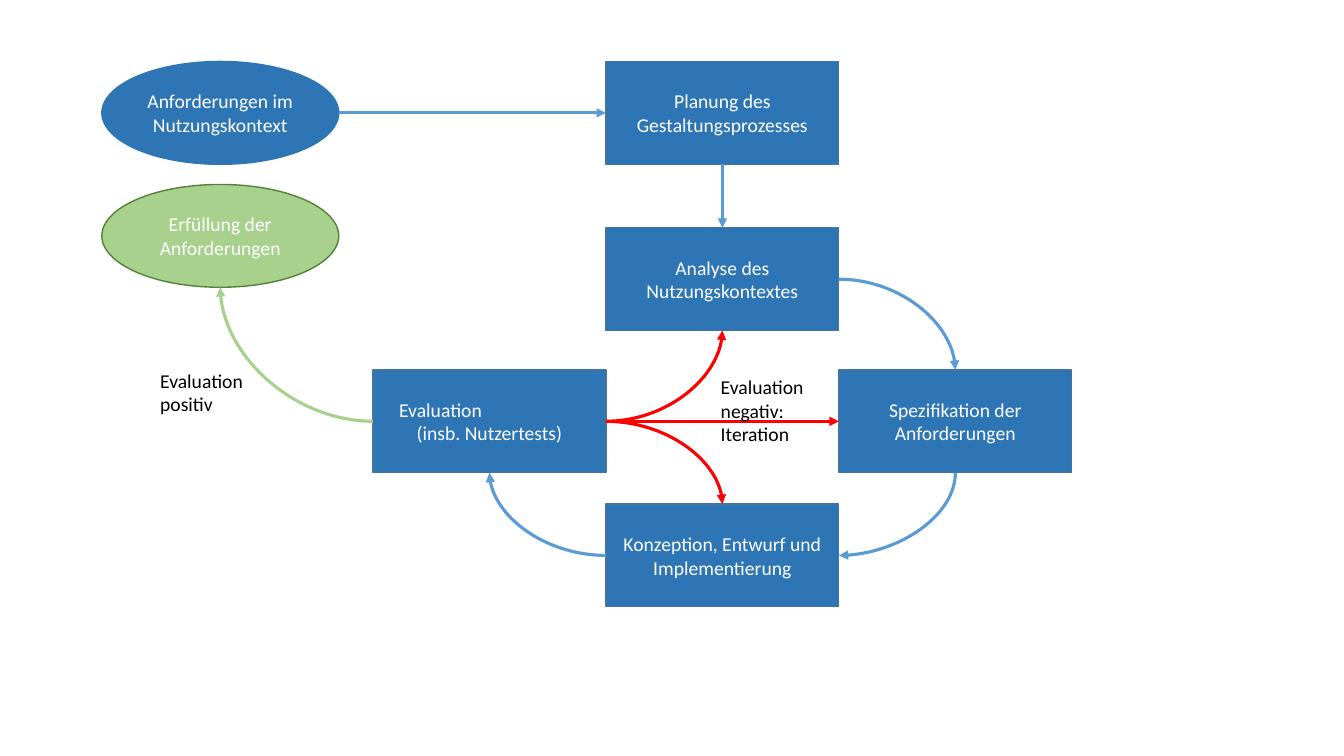
from lxml import etree
from pptx import Presentation
from pptx.dml.color import RGBColor
from pptx.enum.shapes import MSO_CONNECTOR, MSO_SHAPE
from pptx.enum.text import MSO_ANCHOR, PP_ALIGN
from pptx.oxml.ns import qn
from pptx.util import Inches, Pt

RECTANGLE, ELLIPSE = MSO_SHAPE.RECTANGLE, MSO_SHAPE.OVAL
STRAIGHT, CURVE = MSO_CONNECTOR.STRAIGHT, MSO_CONNECTOR.CURVE
LEFT, CENTER = PP_ALIGN.LEFT, PP_ALIGN.CENTER
TOP, MIDDLE = MSO_ANCHOR.TOP, MSO_ANCHOR.MIDDLE

FONT = "Calibri"
BLUE, BLUE_EDGE, BLUE_ARROW = "2E75B6", "43739E", "5B9BD5"
GREEN, GREEN_EDGE = "A9D18E", "548235"
RED, WHITE, BLACK = "FF0000", "FFFFFF", "000000"

STEP_WIDTH, STEP_HEIGHT = 2.31, 1.02
GOAL_WIDTH = 2.35
SITES = {"top": 0, "left": 1, "bottom": 2, "right": 3}


def color(hex_text):
    return RGBColor.from_string(hex_text)


def write(shape, text, ink=BLACK, align=LEFT, anchor=TOP, size=14):
    frame = shape.text_frame
    frame.word_wrap = True
    frame.vertical_anchor = anchor
    for index, line in enumerate(text.split("\n")):
        para = frame.paragraphs[0] if index == 0 else frame.add_paragraph()
        para.alignment = align
        span = para.add_run()
        span.text = line
        span.font.name = FONT
        span.font.size = Pt(size)
        span.font.color.rgb = color(ink)


def add_node(page, kind, box, text, fill=BLUE, edge=BLUE_EDGE):
    node = page.shapes.add_shape(kind, *map(Inches, box))
    node.shadow.inherit = False
    node.fill.solid()
    node.fill.fore_color.rgb = color(fill)
    node.line.color.rgb = color(edge)
    node.line.width = Pt(1)
    write(node, text, ink=WHITE, align=CENTER, anchor=MIDDLE)
    return node


def add_label(page, box, text):
    label = page.shapes.add_textbox(*map(Inches, box))
    write(label, text)


def side_point(node, side):
    across = {"left": 0, "right": 2}.get(side, 1)
    down = {"top": 0, "bottom": 2}.get(side, 1)
    return node.left + node.width * across // 2, node.top + node.height * down // 2


def glue(link, node, side):
    link.set("id", str(node.shape_id))
    factor = 2 if node.auto_shape_type == ELLIPSE else 1
    link.set("idx", str(SITES[side] * factor))


def add_arrow(page, start, start_side, end, end_side, ink=BLUE_ARROW):
    x1, y1 = side_point(start, start_side)
    x2, y2 = side_point(end, end_side)
    curved = x1 != x2 and y1 != y2
    turned = curved and start_side in ("top", "bottom")
    if turned:
        middle_x, middle_y = (x1 + x2) // 2, (y1 + y2) // 2
        wide, high = y2 - y1, x1 - x2
        x1, y1 = middle_x - wide // 2, middle_y - high // 2
        x2, y2 = x1 + wide, y1 + high
    arrow = page.shapes.add_connector(CURVE if curved else STRAIGHT, x1, y1, x2, y2)
    element = arrow._element
    if curved:
        element.spPr.find(qn("a:prstGeom")).set("prst", "curvedConnector2")
    if turned:
        element.spPr.find(qn("a:xfrm")).set("rot", str(90 * 60000))
    links = element.nvCxnSpPr.cNvCxnSpPr
    glue(links.get_or_add_stCxn(), start, start_side)
    glue(links.get_or_add_endCxn(), end, end_side)
    arrow.line.color.rgb = color(ink)
    arrow.line.width = Pt(2.25)
    etree.SubElement(arrow.line._get_or_add_ln(), qn("a:tailEnd"), type="triangle")
    etree.SubElement(element.spPr, qn("a:effectLst"))


def draw_goals(page, left, top):
    demand = add_node(page, ELLIPSE, (left, top, GOAL_WIDTH, STEP_HEIGHT),
                      "Anforderungen im Nutzungskontext", edge=BLUE)
    fulfilment = add_node(page, ELLIPSE, (left, top + 1.22, GOAL_WIDTH, STEP_HEIGHT),
                          "Erfüllung der Anforderungen", GREEN, GREEN_EDGE)
    return demand, fulfilment


def draw_steps(page, left, top):
    steps = {}
    for name, column, offset, text in (
        ("planning", 1, 0, "Planung des Gestaltungsprozesses"),
        ("analysis", 1, 1.65, "Analyse des Nutzungskontextes"),
        ("evaluation", 0, 3.06, "Evaluation\n(insb. Nutzertests)"),
        ("specification", 2, 3.06, "Spezifikation der Anforderungen"),
        ("design", 1, 4.39, "Konzeption, Entwurf und Implementierung"),
    ):
        box = (left + column * STEP_WIDTH, top + offset, STEP_WIDTH, STEP_HEIGHT)
        steps[name] = add_node(page, RECTANGLE, box, text)
    heading = steps["evaluation"].text_frame.paragraphs[0]
    heading.alignment = LEFT
    heading._p.get_or_add_pPr().set("marL", str(Inches(0.16)))
    return steps


def draw_flow(page, demand, fulfilment, steps):
    planning, analysis = steps["planning"], steps["analysis"]
    evaluation, design = steps["evaluation"], steps["design"]
    specification = steps["specification"]
    add_arrow(page, demand, "right", planning, "left")
    add_arrow(page, planning, "bottom", analysis, "top")
    add_arrow(page, analysis, "right", specification, "top")
    add_arrow(page, specification, "bottom", design, "right")
    add_arrow(page, design, "left", evaluation, "bottom")
    add_arrow(page, evaluation, "left", fulfilment, "bottom", GREEN)
    for target, side in ((specification, "left"), (analysis, "bottom"), (design, "top")):
        add_arrow(page, evaluation, "right", target, side, RED)


def draw_process(page, left, top):
    demand, fulfilment = draw_goals(page, left, top)
    steps = draw_steps(page, left + 2.69, top)
    draw_flow(page, demand, fulfilment, steps)
    add_label(page, (left + 0.48, top + 3, 1.4, 0.57), "Evaluation positiv")
    add_label(page, (left + 6.04, top + 3.06, 1.4, 0.81), "Evaluation negativ:\nIteration")


deck = Presentation()
deck.slide_width, deck.slide_height = Inches(13.33), Inches(7.5)
draw_process(deck.slides.add_slide(deck.slide_layouts[6]), 1.01, 0.61)
deck.save("out.pptx")
